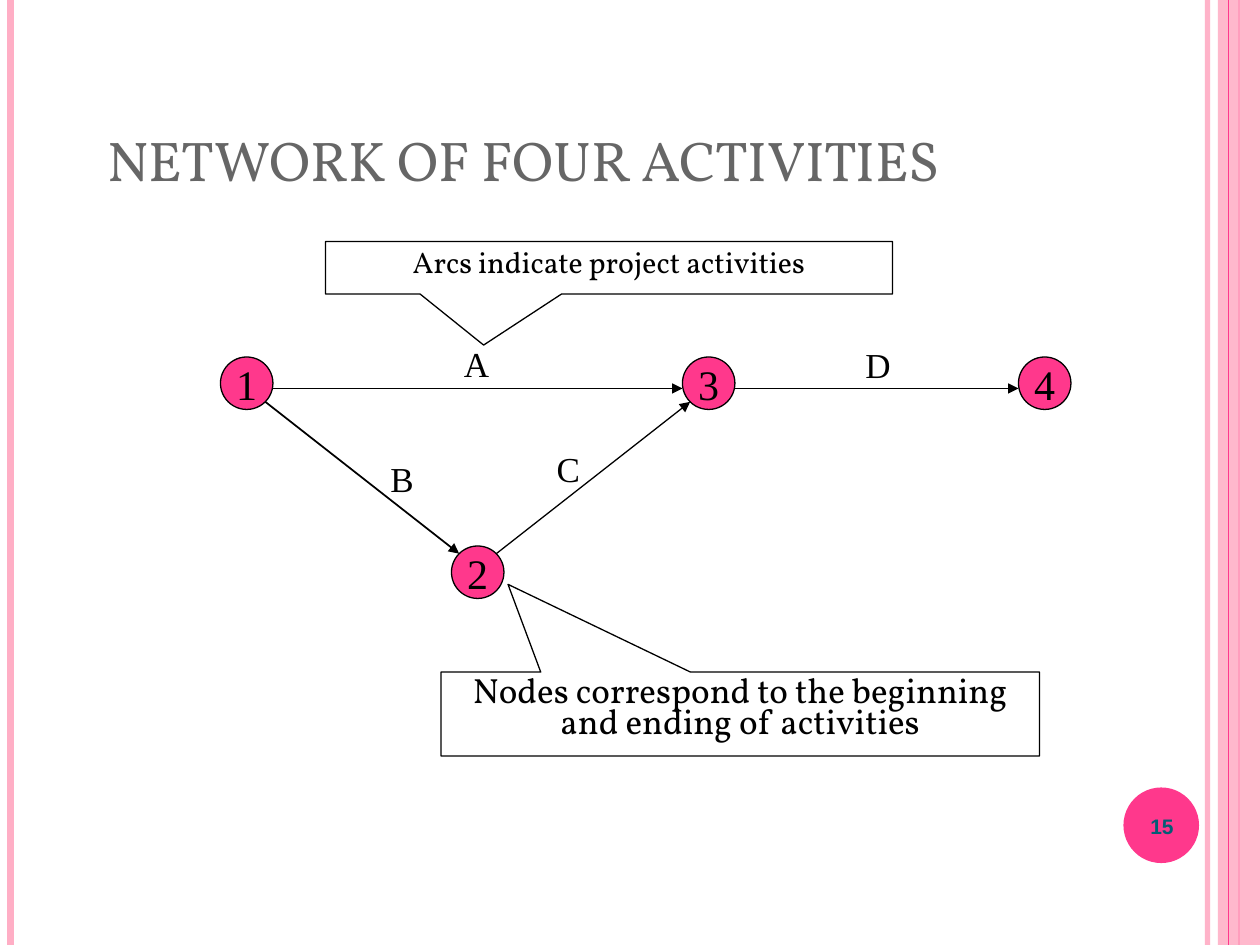
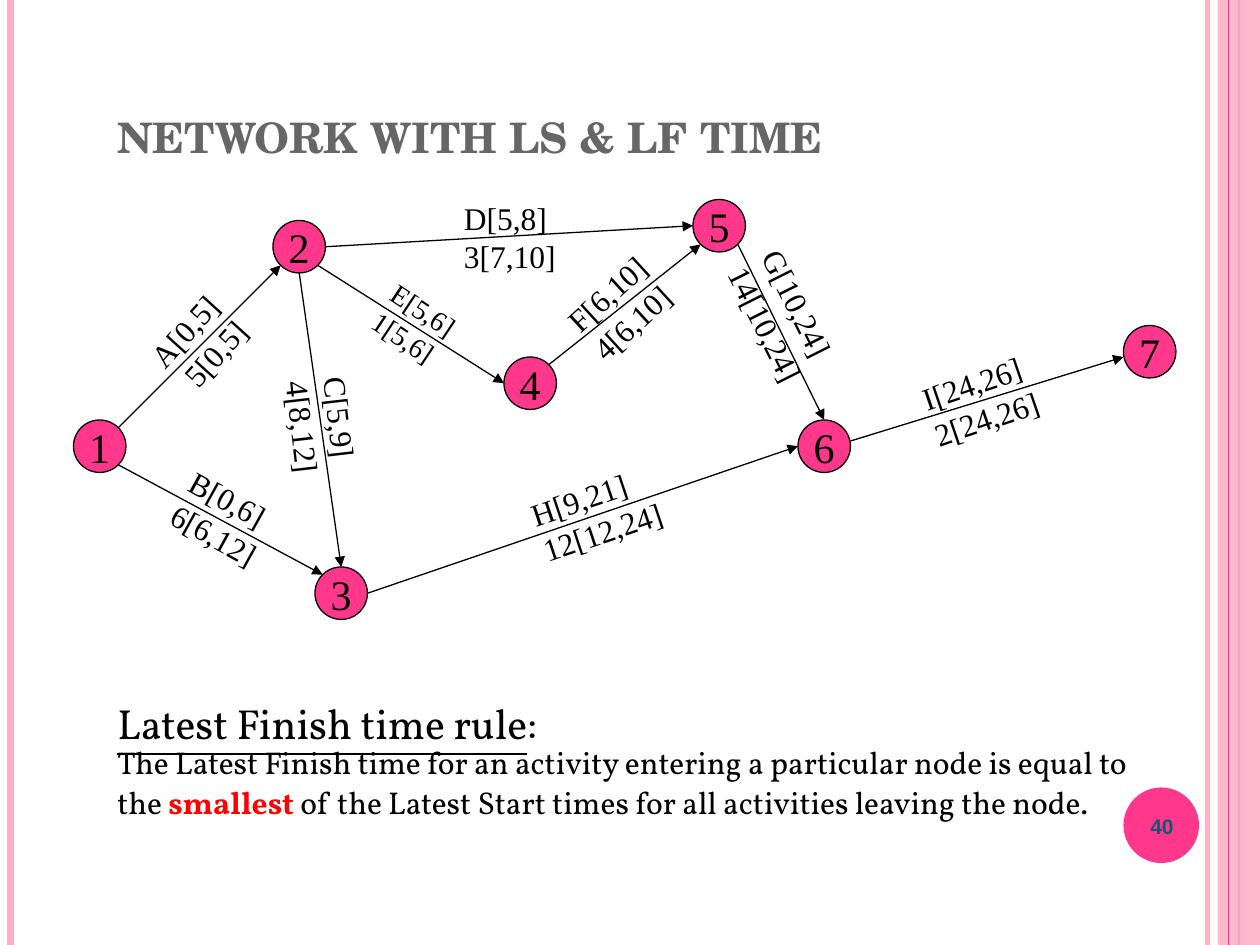
"""Build two project network slides that share one master of bands, badge and title style."""

import enum
import math
from dataclasses import dataclass

import lxml.etree
import pptx
import pptx.dml.color
import pptx.enum.shapes
import pptx.enum.text
import pptx.oxml.ns
import pptx.presentation
import pptx.shapes.autoshape
import pptx.shapes.base
import pptx.shapes.connector
import pptx.slide
import pptx.text.text
import pptx.util

Pt = pptx.util.Pt
RGBColor = pptx.dml.color.RGBColor
Align = pptx.enum.text.PP_ALIGN
Anchor = pptx.enum.text.MSO_ANCHOR
ShapeType = pptx.enum.shapes.MSO_SHAPE
qn = pptx.oxml.ns.qn


@dataclass(frozen=True)
class Theme:
    accent: RGBColor = RGBColor(0xFF, 0x38, 0x8C)
    band: RGBColor = RGBColor(0xFF, 0xAE, 0xC5)
    title: RGBColor = RGBColor(0x66, 0x66, 0x66)
    number: RGBColor = RGBColor(0x04, 0x5C, 0x75)
    ink: RGBColor = RGBColor(0, 0, 0)
    paper: RGBColor = RGBColor(0xFF, 0xFF, 0xFF)
    emphasis: RGBColor = RGBColor(0xFF, 0, 0)
    text_font: str = "Vollkorn"
    heading_font: str = "TeX Gyre Schola"
    diagram_font: str = "Times New Roman"
    number_font: str = "Arial"
    title_size: float = 32
    large_size: float = 24
    arc_size: float = 20
    label_size: float = 18
    callout_size: float = 17
    small_label_size: float = 16
    number_size: float = 12
    thin: float = 0.75
    thick: float = 1


THEME = Theme()
SLIDE_WIDTH, SLIDE_HEIGHT = 720, 540
NODE_SIZE = 30


class Side(enum.Enum):
    RIGHT = 0
    BOTTOM_RIGHT = 45
    BOTTOM = 90
    BOTTOM_LEFT = 135
    LEFT = 180
    TOP_LEFT = 225
    TOP = 270
    TOP_RIGHT = 315


@dataclass(frozen=True)
class Box:
    left: float
    top: float
    width: float
    height: float

    def lengths(self) -> tuple[pptx.util.Length, ...]:
        return Pt(self.left), Pt(self.top), Pt(self.width), Pt(self.height)


@dataclass(frozen=True)
class Run:
    text: str
    size: float
    font: str = THEME.text_font
    color: RGBColor = THEME.ink
    bold: bool = False
    underline: bool = False


@dataclass(frozen=True)
class Node:
    left: float
    top: float

    def point(self, side: Side, shift: float) -> tuple[float, float]:
        radius, angle = NODE_SIZE / 2, math.radians(side.value)
        return (self.left + radius + radius * math.cos(angle),
                self.top + radius + radius * math.sin(angle) + shift)


@dataclass(frozen=True)
class Edge:
    start: int
    start_side: Side
    end: int
    end_side: Side
    start_shift: float = 0
    end_shift: float = 0
    width: float = THEME.thin


@dataclass(frozen=True)
class Label:
    lines: tuple[str, ...]
    box: Box
    rotation: float = 0
    size: float = THEME.label_size


@dataclass(frozen=True)
class Callout:
    run: Run
    box: Box
    tip: tuple[float, float]
    line_spacing: float


@dataclass(frozen=True)
class Band:
    x: float
    color: RGBColor
    width: float
    opacity: int = 100


def add_runs(paragraph: pptx.text.text._Paragraph, runs: list[Run]) -> None:
    for item in runs:
        run = paragraph.add_run()
        run.text = item.text
        run.font.name = item.font
        run.font.size = Pt(item.size)
        run.font.color.rgb = item.color
        run.font.bold = item.bold
        run.font.underline = item.underline


def write(shape: pptx.shapes.autoshape.Shape, paragraphs: list[list[Run]], align: Align = Align.LEFT,
          anchor: Anchor = Anchor.TOP, wrap: bool = True, line_spacing: float = 1.0) -> None:
    frame = shape.text_frame
    frame.word_wrap = wrap
    frame.auto_size = pptx.enum.text.MSO_AUTO_SIZE.NONE
    frame.vertical_anchor = anchor
    for index, runs in enumerate(paragraphs):
        paragraph = frame.add_paragraph() if index else frame.paragraphs[0]
        paragraph.alignment = align
        paragraph.line_spacing = line_spacing
        add_runs(paragraph, runs)


def add_text(slide: pptx.slide.Slide, box: Box, paragraphs: list[list[Run]],
             **style) -> pptx.shapes.autoshape.Shape:
    shape = slide.shapes.add_textbox(*box.lengths())
    write(shape, paragraphs, **style)
    return shape


def add_filled(slide: pptx.slide.Slide, kind: ShapeType, box: Box, fill: RGBColor,
               outlined: bool = True) -> pptx.shapes.autoshape.Shape:
    shape = slide.shapes.add_shape(kind, *box.lengths())
    shape.shadow.inherit = False
    shape.fill.solid()
    shape.fill.fore_color.rgb = fill
    if outlined:
        shape.line.color.rgb = THEME.ink
        shape.line.width = Pt(THEME.thin)
    else:
        shape.line.fill.background()
    return shape


def add_line(slide: pptx.slide.Slide, start: tuple[float, float], end: tuple[float, float],
             color: RGBColor, width: float, arrow: bool = False) -> pptx.shapes.connector.Connector:
    line = slide.shapes.add_connector(pptx.enum.shapes.MSO_CONNECTOR.STRAIGHT,
                                      *(Pt(value) for value in (*start, *end)))
    line.line.color.rgb = color
    line.line.width = Pt(width)
    properties = line.element.spPr
    if arrow:
        lxml.etree.SubElement(properties.find(qn("a:ln")), qn("a:tailEnd"), type="triangle")
    lxml.etree.SubElement(properties, qn("a:effectLst"))
    return line


def set_opacity(shape: pptx.shapes.base.BaseShape, percent: int) -> None:
    for color in shape.element.spPr.iter(qn("a:srgbClr")):
        lxml.etree.SubElement(color, qn("a:alpha"), val=str(percent * 1000))


def decorate_master(presentation: pptx.presentation.Presentation, slide: pptx.slide.Slide) -> None:
    def add_band(band: Band) -> pptx.shapes.connector.Connector:
        line = add_line(slide, (band.x, 0), (band.x, SLIDE_HEIGHT), band.color, band.width)
        if band.opacity < 100:
            set_opacity(line, band.opacity)
        return line

    decorations = [add_band(band) for band in (
        Band(690, THEME.band, 3, 93), Band(6, THEME.band, 4.5), Band(708, THEME.accent, 1.5))]
    edge = add_filled(slide, ShapeType.RECTANGLE, Box(696, 0, 24, SLIDE_HEIGHT), THEME.band, False)
    set_opacity(edge, 87)
    decorations += [edge, add_band(Band(702, THEME.accent, THEME.thin)),
                    add_filled(slide, ShapeType.OVAL, Box(642, 450, 43.2, 43.2), THEME.accent, False)]
    for identifier, shape in enumerate(decorations, start=100):
        next(shape.element.iter(qn("p:cNvPr"))).set("id", str(identifier))
        presentation.slide_master.shapes.element.append(shape.element)


def start_slide(slide: pptx.slide.Slide, title: Run, box: Box, number: str) -> None:
    shape = slide.shapes.title
    shape.left, shape.top, shape.width, shape.height = box.lengths()
    write(shape, [[title]], anchor=Anchor.BOTTOM)
    add_text(slide, Box(640, 451.5, 48, 41),
             [[Run(number, THEME.number_size, THEME.number_font, THEME.number, bold=True)]],
             align=Align.CENTER, anchor=Anchor.MIDDLE)


def draw_network(slide: pptx.slide.Slide, nodes: dict[int, Node], edges: list[Edge],
                 labels: list[Label]) -> None:
    for name, node in nodes.items():
        shape = add_filled(slide, ShapeType.OVAL, Box(node.left, node.top, NODE_SIZE, NODE_SIZE), THEME.accent)
        write(shape, [[Run(str(name), THEME.large_size, THEME.diagram_font)]],
              align=Align.CENTER, anchor=Anchor.MIDDLE, wrap=False)
    for edge in edges:
        add_line(slide, nodes[edge.start].point(edge.start_side, edge.start_shift),
                 nodes[edge.end].point(edge.end_side, edge.end_shift), THEME.ink, edge.width, arrow=True)
    for label in labels:
        shape = add_text(slide, label.box,
                         [[Run(line, label.size, THEME.diagram_font)] for line in label.lines])
        shape.rotation = label.rotation


def draw_callout(slide: pptx.slide.Slide, callout: Callout) -> None:
    shape = add_filled(slide, ShapeType.RECTANGULAR_CALLOUT, callout.box, THEME.paper)
    shape.adjustments[0], shape.adjustments[1] = callout.tip
    write(shape, [[callout.run]], align=Align.CENTER, line_spacing=callout.line_spacing)


def build_activities(slide: pptx.slide.Slide) -> None:
    start_slide(slide, Run("NETWORK OF FOUR ACTIVITIES", THEME.title_size, color=THEME.title),
                Box(54, 54, 612, 60), "15")
    nodes = {1: Node(126, 204), 3: Node(390, 204), 4: Node(582, 204), 2: Node(258, 312)}
    edges = [Edge(3, Side.RIGHT, 4, Side.LEFT, 3, 3, THEME.thick),
             Edge(1, Side.RIGHT, 3, Side.LEFT, 3, 3, THEME.thick),
             Edge(1, Side.BOTTOM_RIGHT, 2, Side.TOP_LEFT, width=THEME.thick),
             Edge(2, Side.TOP_RIGHT, 3, Side.BOTTOM_LEFT)]
    places = {"A": (258, 192), "B": (216, 258), "C": (311, 252), "D": (487.5, 193)}
    draw_network(slide, nodes, edges, [Label((name,), Box(*place, 30, 31.5), size=THEME.arc_size)
                                       for name, place in places.items()])
    draw_callout(slide, Callout(Run("Arcs indicate project activities", THEME.callout_size),
                                Box(186, 138, 324, 30), (-0.221, 1.475), 0.9))
    draw_callout(slide, Callout(Run("Nodes correspond to the beginning and ending of activities", THEME.arc_size),
                                Box(252, 384, 342, 48), (-0.388, -1.544), 0.75))


def build_latest_times(slide: pptx.slide.Slide) -> None:
    start_slide(slide, Run("NETWORK WITH LS & LF TIME", THEME.large_size, THEME.heading_font,
                           THEME.title, bold=True), Box(60, 48, 612, 48), "40")
    nodes = {1: Node(42, 240), 3: Node(180, 324), 4: Node(288, 204), 2: Node(156, 126),
             5: Node(396, 114), 7: Node(642, 186), 6: Node(456, 240)}
    edges = [Edge(1, Side.TOP_RIGHT, 2, Side.BOTTOM_LEFT), Edge(1, Side.BOTTOM_RIGHT, 3, Side.TOP_LEFT),
             Edge(2, Side.BOTTOM, 3, Side.TOP), Edge(2, Side.BOTTOM_RIGHT, 4, Side.LEFT),
             Edge(2, Side.RIGHT, 5, Side.LEFT), Edge(4, Side.TOP_RIGHT, 5, Side.BOTTOM_LEFT),
             Edge(5, Side.BOTTOM_RIGHT, 6, Side.TOP), Edge(3, Side.RIGHT, 6, Side.LEFT),
             Edge(6, Side.RIGHT, 7, Side.LEFT, -3, 3)]
    labels = [Label(("A[0,5]", " 5[0,5]"), Box(81.4, 169.2, 67, 50.4), 312.2),
              Label((" B[0,6]", " 6[6,12]"), Box(90, 270, 72, 50.4), 29),
              Label(("C[5,9]", "4[8,12]"), Box(148.3, 220.3, 72, 50.4), 83.4),
              Label(("D[5,8]", "3[7,10]"), Box(258, 110.2, 78, 50.4)),
              Label(("E[5,6]", "1[5,6]"), Box(208.8, 164.2, 61.2, 46), 33.6, THEME.small_label_size),
              Label(("F[6,10]", "4[6,10]"), Box(319.7, 149.8, 70.6, 50.4), 317.5),
              Label(("G[10,24]", "14[10,24]"), Box(403, 158.2, 91.4, 50.4), 63.3),
              Label((" H[9,21]", " 12[12,24]"), Box(293.8, 267.1, 100.8, 50.4), 341.5),
              Label(("I[24,26]", "2[24,26]"), Box(522, 201.6, 87.8, 50.4), 341.2)]
    draw_network(slide, nodes, edges, labels)
    size = THEME.label_size
    add_text(slide, Box(60, 399.6, 600, 93), [
        [Run("Latest Finish time rule", THEME.large_size, underline=True), Run(": ", THEME.large_size)],
        [Run("The Latest Finish time for an activity entering a particular node is equal to the ", size),
         Run("smallest", size, color=THEME.emphasis, bold=True),
         Run(" of the Latest Start times for all activities leaving the node.", size),
         Run(" ", THEME.large_size)]], line_spacing=0.85)


def main() -> None:
    presentation = pptx.Presentation()
    presentation.slide_width, presentation.slide_height = Pt(SLIDE_WIDTH), Pt(SLIDE_HEIGHT)
    layout = presentation.slide_layouts.get_by_name("Title Only")
    activities, latest_times = (presentation.slides.add_slide(layout) for _ in range(2))
    decorate_master(presentation, activities)
    build_activities(activities)
    build_latest_times(latest_times)
    presentation.save("out.pptx")


main()
